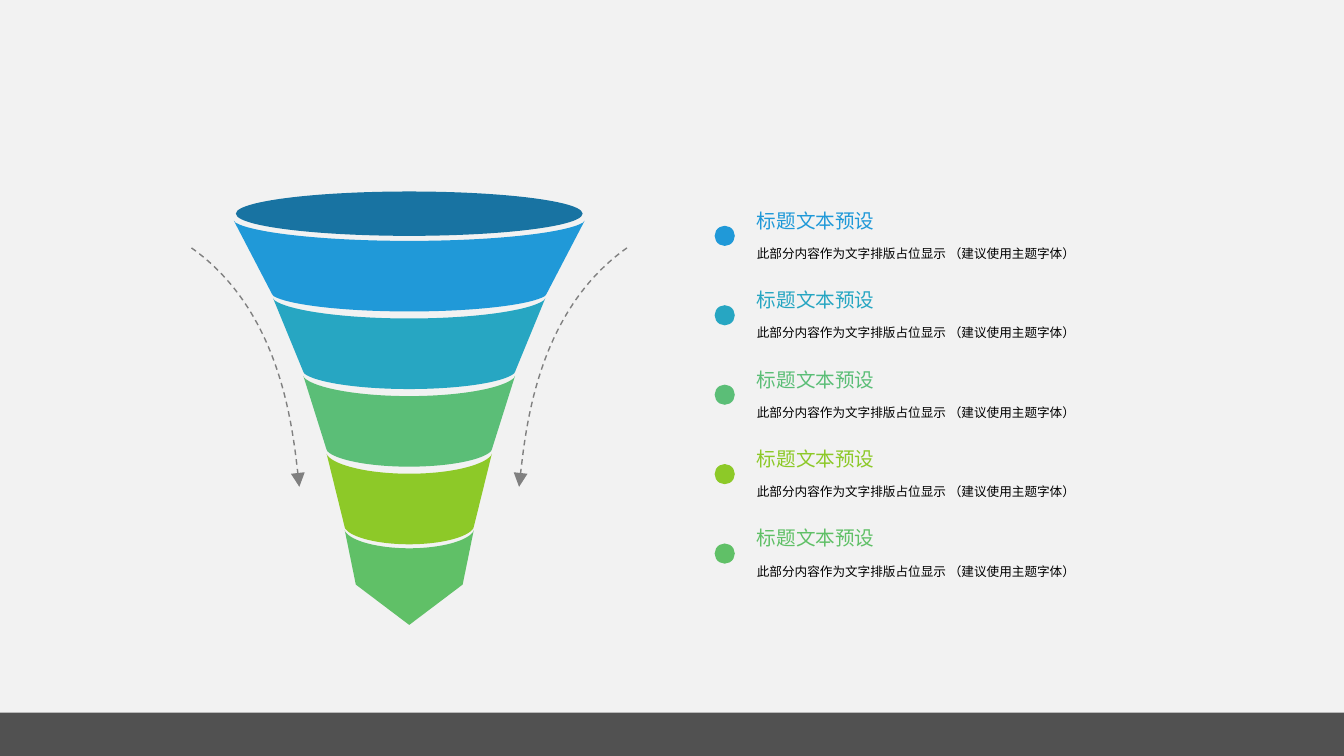
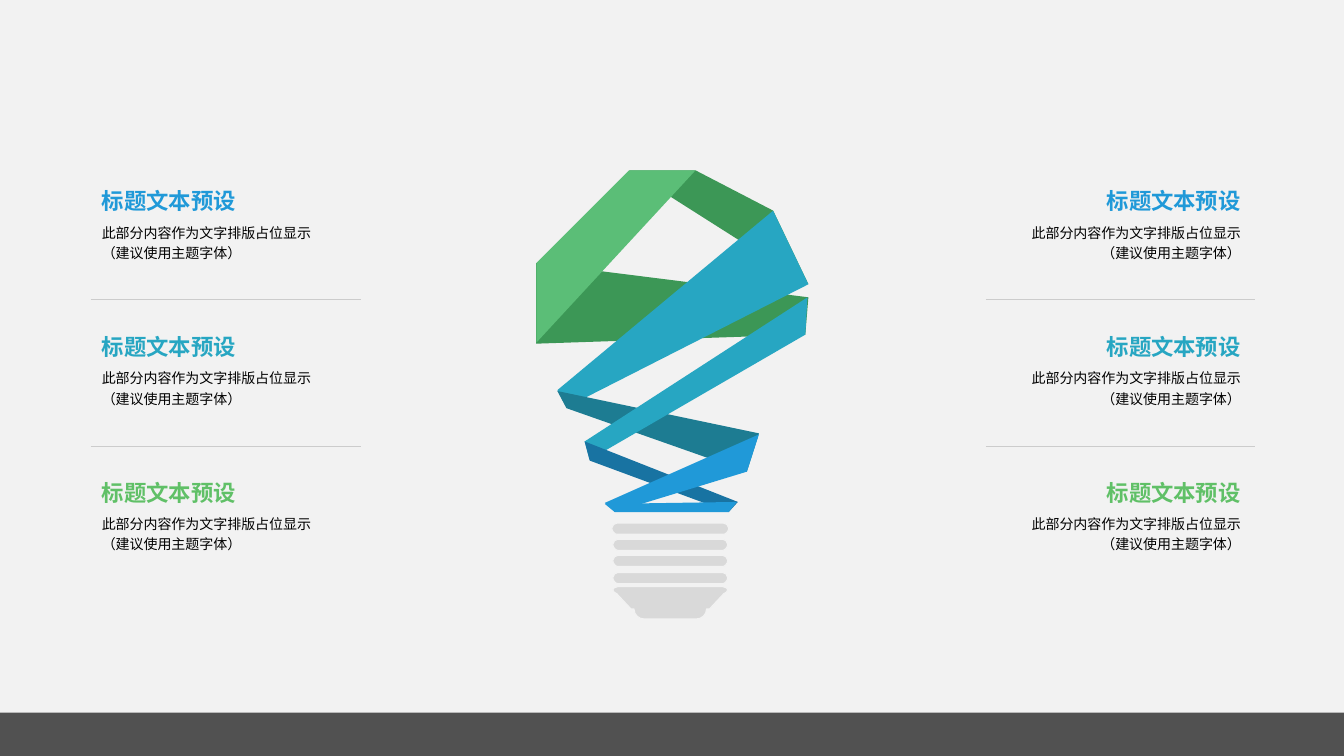
from lxml import etree
from pptx import Presentation
from pptx.dml.color import RGBColor
from pptx.enum.dml import MSO_LINE
from pptx.enum.shapes import MSO_CONNECTOR, MSO_SHAPE
from pptx.enum.text import PP_ALIGN
from pptx.oxml.ns import qn
from pptx.util import Inches, Pt

OVAL, RECT = MSO_SHAPE.OVAL, MSO_SHAPE.RECTANGLE
STRAIGHT = MSO_CONNECTOR.STRAIGHT
DASH = MSO_LINE.DASH
LEFT, RIGHT = PP_ALIGN.LEFT, PP_ALIGN.RIGHT

SLIDE_W, SLIDE_H = 40 / 3, 7.5
FONT = "Calibri"
PAPER, BAND, BLACK = "F2F2F2", "0D0D0D", "000000"
BLUE, DARK_BLUE = "2099D8", "1873A2"
TEAL, DARK_TEAL = "27A6C2", "1D7C92"
GREEN, DARK_GREEN = "5BBE77", "3C9756"
LIME, LEAF = "8DC928", "60C067"
GREY, RULE, METAL = "808080", "CCCCCC", "D9D9D9"

TITLE = "标题文本预设"
DETAIL = "此部分内容作为文字排版占位显示"
NOTE = "（建议使用主题字体）"


def rgb(color):
    return RGBColor.from_string(color)


def paint(sp, fill=None, line=None, width=0.75):
    sp.shadow.inherit = False
    if fill:
        sp.fill.solid()
        sp.fill.fore_color.rgb = rgb(fill)
    else:
        sp.fill.background()
    if line:
        sp.line.color.rgb = rgb(line)
        sp.line.width = Pt(width)
    else:
        sp.line.fill.background()
    return sp


def add_preset(s, kind, x, y, w, h, fill):
    sp = s.shapes.add_shape(kind, Inches(x), Inches(y), Inches(w), Inches(h))
    return paint(sp, fill)


def add_outline(s, x, y, *contours, fill=None, line=None, width=0.75, close=True):
    def place(step):
        return [(Inches(x + step[i]), Inches(y + step[i + 1])) for i in range(0, len(step), 2)]

    builder = s.shapes.build_freeform(*place(contours[0][0])[0])
    for n, contour in enumerate(contours):
        if n:
            builder.move_to(*place(contour[0])[0])
        vertices = [pt for step in contour[1:] for pt in place(step)]
        builder.add_line_segments(vertices, close=close)
    sp = builder.convert_to_shape()
    segments = iter(list(sp.element.iter(qn("a:lnTo"))))
    for step in (step for contour in contours for step in contour[1:]):
        first = next(segments)
        if len(step) == 6:
            first.tag = qn("a:cubicBezTo")
            for _ in range(2):
                extra = next(segments)
                first.append(extra[0])
                extra.getparent().remove(extra)
    return paint(sp, fill, line, width)


def add_text(s, text, x, y, w, h, size=10, color=BLACK, bold=False,
             align=LEFT, spacing=None, wrap=True, inset=(0, 0)):
    tf = s.shapes.add_textbox(Inches(x), Inches(y), Inches(w), Inches(h)).text_frame
    tf.word_wrap = wrap
    tf.margin_left = tf.margin_right = Inches(inset[0])
    tf.margin_top = tf.margin_bottom = Inches(inset[1])
    p = tf.paragraphs[0]
    p.text = text
    p.alignment = align
    if spacing:
        p.line_spacing = spacing
    for r in p.runs:
        r.font.name = FONT
        r.font.size = Pt(size)
        r.font.bold = bold
        r.font.color.rgb = rgb(color)
    for br in tf._txBody.iter(qn("a:br")):
        etree.SubElement(br, qn("a:rPr"), sz=str(size * 100))


def add_rule(s, x, y, w):
    line = s.shapes.add_connector(STRAIGHT, Inches(x), Inches(y), Inches(x + w), Inches(y))
    line.line.color.rgb = rgb(RULE)
    line.line.width = Pt(0.5)
    etree.SubElement(line.element.spPr, qn("a:effectLst"))


def reverse(steps):
    ends = [step[-2:] for step in steps]
    turned = [ends[-1]]
    for i in range(len(steps) - 1, 0, -1):
        step = steps[i]
        turned.append(step[2:4] + step[:2] + ends[i - 1] if len(step) == 6 else ends[i - 1])
    return turned


def flip(steps, cx=0):
    return [tuple(v if i % 2 else 2 * cx - v for i, v in enumerate(step)) for step in steps]


def mirror(steps, cx=0):
    other = flip(reverse(steps), cx)
    return steps + (other[1:] if other[0] == steps[-1][-2:] else other)


def rim(half, y, sag):
    return mirror([(-half, y), (-0.99 * half, y + 0.1 * sag),
                   (-0.89 * half, y + 0.6 * sag, -0.49 * half, y + sag, 0, y + sag)])


def set_master(prs, s):
    master = prs.slide_master
    master.background.fill.solid()
    master.background.fill.fore_color.rgb = rgb(PAPER)
    band = add_preset(s, RECT, 0, 7.07, SLIDE_W, 0.44, BAND).element
    band.nvSpPr.cNvPr.set("id", "99")
    color = band.spPr.find(qn("a:solidFill"))[0]
    etree.SubElement(color, qn("a:alpha"), val="70000")
    master.shapes.element.insert(2, band)


def funnel(s, x, y, w):
    cx = x + w / 2
    tiers = [(1.74, 1.36, BLUE), (1.35, 1.05, TEAL), (1.05, 0.82, GREEN), (0.82, 0.64, LIME)]
    for i, (top, bottom, color) in enumerate(tiers):
        side = rim(top, 0, 0.2) + reverse(rim(bottom, 0.73, 0.17))
        add_outline(s, cx, y + 0.29 + i * 0.77, side, fill=color)
        if i == 0:
            add_preset(s, OVAL, x + 0.02, y, w - 0.04, 0.44, DARK_BLUE)
    curve = [(2.16, 0.56), (1.27, 1.19, 1.12, 2.63, 1.09, 2.93)]
    for route in (curve, flip(curve)):
        arrow = add_outline(s, cx, y, route, line=GREY, width=1, close=False)
        arrow.line.dash_style = DASH
        etree.SubElement(arrow.line._get_or_add_ln(), qn("a:tailEnd"),
                         type="triangle", w="lg", len="lg")
    tip = rim(0.64, 0, 0.18) + [(0.53, 0.54), (0, 0.94), (-0.53, 0.54)]
    add_outline(s, cx, y + 3.36, tip, fill=LEAF)


def legend(s, x, y, w, h):
    colors = [BLUE, TEAL, GREEN, LIME, LEAF]
    for i, color in enumerate(colors):
        top = y + i * h / len(colors)
        add_preset(s, OVAL, x, top + 0.22, 0.2, 0.2, color)
        add_text(s, TITLE, x + 0.32, top, 1.38, 0.34, size=14, color=color,
                 wrap=False, inset=(0.1, 0.05))
        add_text(s, f"{DETAIL} {NOTE}", x + 0.32, top + 0.34, w - 0.32, 0.33, size=9,
                 spacing=1.2, inset=(0.1, 0.05))


def ring(left, top, cx):
    half = [(left + 0.05, top + 0.11),
            (left + 0.03, top + 0.11, left, top + 0.08, left, top + 0.05),
            (left, top + 0.02, left + 0.03, top, left + 0.05, top)]
    return mirror(half, cx)


def bulb(s, x, y):
    cx = 1.33
    rings = [ring(left, top, cx)
             for left, top in ((0.75, 3.5), (0.76, 3.66), (0.76, 3.82), (0.76, 3.99))]
    half_base = [(0.81, 4.13), (0.78, 4.13, 0.76, 4.15, 0.76, 4.16),
                 (0.76, 4.18, 0.78, 4.19, 0.8, 4.2), (0.94, 4.35), (0.97, 4.35),
                 (0.97, 4.41, 1.02, 4.45, 1.07, 4.45)]
    add_outline(s, x, y, *rings, mirror(half_base, cx), fill=METAL, line=PAPER)
    ribbons = [
        (DARK_GREEN, [(0.92, 0), (2.7, 1.13), (2.35, 0.4), (1.58, 0)]),
        (DARK_GREEN, [(0, 0.92), (2.7, 1.26), (2.67, 1.63), (0, 1.72)]),
        (TEAL, [(2.35, 0.4), (0.21, 2.18), (0.3, 2.35), (2.7, 1.13)]),
        (DARK_TEAL, [(0.21, 2.19), (2.21, 2.61), (2.09, 2.99), (0.3, 2.36)]),
        (TEAL, [(2.69, 1.26), (0.48, 2.69), (0.53, 2.87), (2.67, 1.63)]),
        (DARK_BLUE, [(0.48, 2.69), (2, 3.29), (1.91, 3.39), (0.53, 2.88)]),
        (GREEN, [(0.92, 0), (0, 0.92), (0, 1.71), (1.58, 0)]),
        (BLUE, [(0.78, 3.39), (2.09, 2.99), (2.21, 2.62), (0.68, 3.3)]),
        (BLUE, [(0.68, 3.31), (1.99, 3.29), (1.91, 3.39), (0.78, 3.39)]),
    ]
    for color, corners in ribbons:
        add_outline(s, x, y, corners, fill=color)


def text_column(s, x, y, w, h, align):
    text_w = 2.86
    text_x = x + 0.11 if align == LEFT else x + w - 0.14 - text_w
    colors = [BLUE, TEAL, LEAF]
    for i, color in enumerate(colors):
        top = y + i * h / len(colors)
        add_text(s, f"{DETAIL}\n{NOTE}", text_x, top + 0.33, text_w, 0.56,
                 align=align, spacing=1.2)
        add_text(s, TITLE, text_x, top, text_w, 0.34, size=16, color=color, bold=True,
                 align=align, wrap=False)
    for i in range(len(colors) - 1):
        add_rule(s, x, y + 1.11 + 1.46 * i, w)


def funnel_slide(s):
    funnel(s, 2.32, 1.9, 3.48)
    legend(s, 7.09, 2.02, 4.27, 3.94)


def bulb_slide(s):
    bulb(s, 5.32, 1.69)
    text_column(s, 9.78, 1.86, 2.67, 4.34, RIGHT)
    text_column(s, 0.9, 1.86, 2.68, 4.34, LEFT)


def main():
    prs = Presentation()
    prs.slide_width, prs.slide_height = Inches(SLIDE_W), Inches(SLIDE_H)
    blank = prs.slide_layouts[6]
    slides = [prs.slides.add_slide(blank) for _ in range(2)]
    set_master(prs, slides[0])
    funnel_slide(slides[0])
    bulb_slide(slides[1])
    prs.save("out.pptx")


if __name__ == "__main__":
    main()
